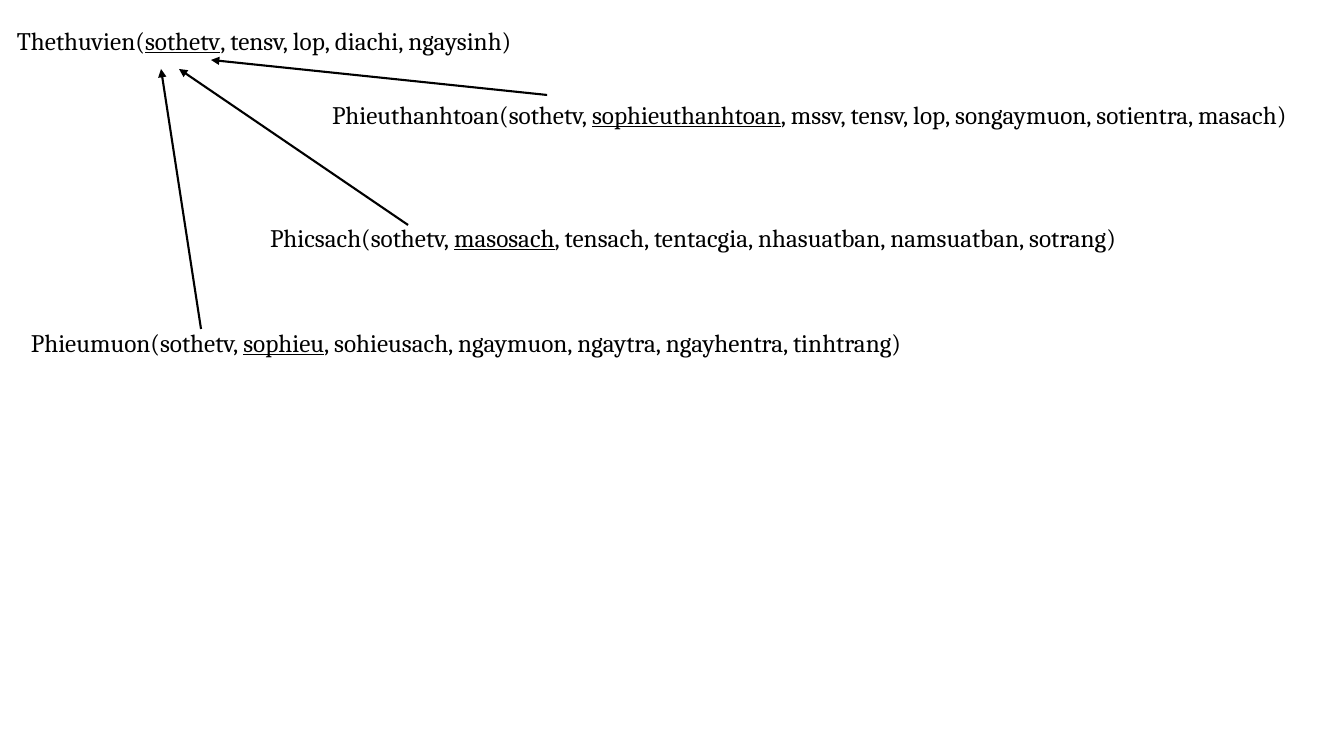
from dataclasses import dataclass
from lxml.etree import SubElement
from pptx import Presentation
from pptx.dml.color import RGBColor
from pptx.enum.shapes import MSO_CONNECTOR
from pptx.enum.text import MSO_AUTO_SIZE
from pptx.oxml.ns import qn
from pptx.util import Emu, Inches, Pt

SCALE = 914400 / 100.8


@dataclass(frozen=True)
class Theme:
    ink: RGBColor = RGBColor(0, 0, 0)
    font: str = "Cambria"
    size: Pt = Pt(18)
    line: Pt = Pt(1.5)


def px(*sizes):
    return [Emu(round(size * SCALE)) for size in sizes]


class Board:
    def __init__(self, slide, theme):
        self.slide = slide
        self.theme = theme

    def table(self, box, name, fields, key):
        frame = self.slide.shapes.add_textbox(*px(*box)).text_frame
        frame.word_wrap = True
        frame.auto_size = MSO_AUTO_SIZE.SHAPE_TO_FIT_TEXT
        para = frame.paragraphs[0]
        head, tail = f"{name}({fields})".split(key)
        for text in (head, key, tail):
            run = para.add_run()
            run.text = text
            run.font.name = self.theme.font
            run.font.size = self.theme.size
            run.font.color.rgb = self.theme.ink
            run.font.underline = text == key
        return para

    def arrow(self, start, end):
        link = self.slide.shapes.add_connector(
            MSO_CONNECTOR.STRAIGHT, *px(*start, *end))
        link.line.color.rgb = self.theme.ink
        link.line.width = self.theme.line
        SubElement(link.line._get_or_add_ln(), qn("a:tailEnd"), type="triangle")
        SubElement(link._element.spPr, qn("a:effectLst"))


deck = Presentation()
deck.slide_width, deck.slide_height = Inches(13.33), Inches(7.5)
board = Board(deck.slides.add_slide(deck.slide_layouts[6]), Theme())

board.table((7, 20, 540, 40), "Thethuvien",
            "sothetv, tensv, lop, diachi, ngaysinh", "sothetv")
board.table((322, 94, 1022, 40), "Phieuthanhtoan",
            "sothetv, sophieuthanhtoan, mssv, tensv, lop, songaymuon, "
            "sotientra, masach", "sophieuthanhtoan")
board.table((260, 217, 914, 40), "Phicsach",
            "sothetv, masosach, tensach, tentacgia, nhasuatban, "
            "namsuatban, sotrang", "masosach")
loan = board.table((21, 320, 941, 41), "Phieumuon",
                   "sothetv, sophieu, sohieusach, ngaymuon, ngaytra, "
                   "ngayhentra, tinhtrang", "sophieu")
loan.line_spacing = 1.07
loan.space_after = Pt(8)

for start, end in (((547, 95), (211, 60)),
                   ((408, 225), (179, 69)),
                   ((201, 329), (161, 69))):
    board.arrow(start, end)

deck.save("out.pptx")
